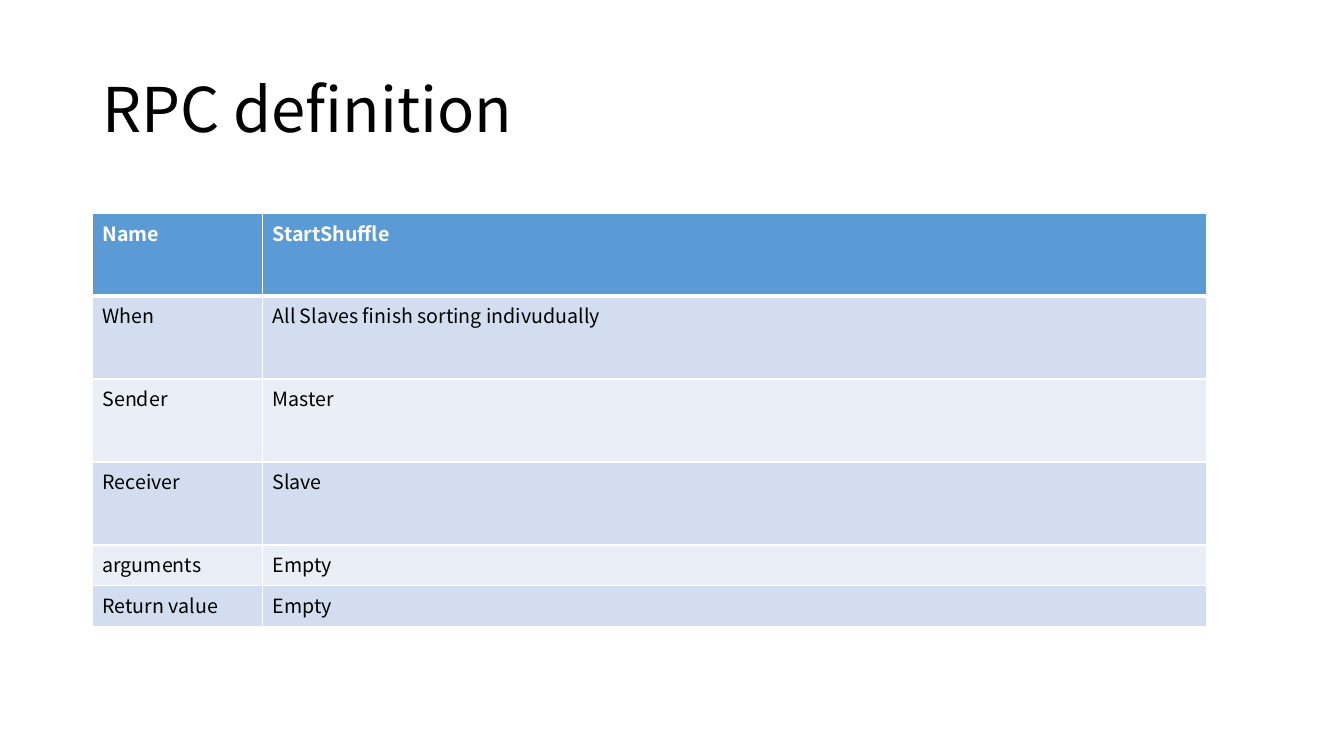
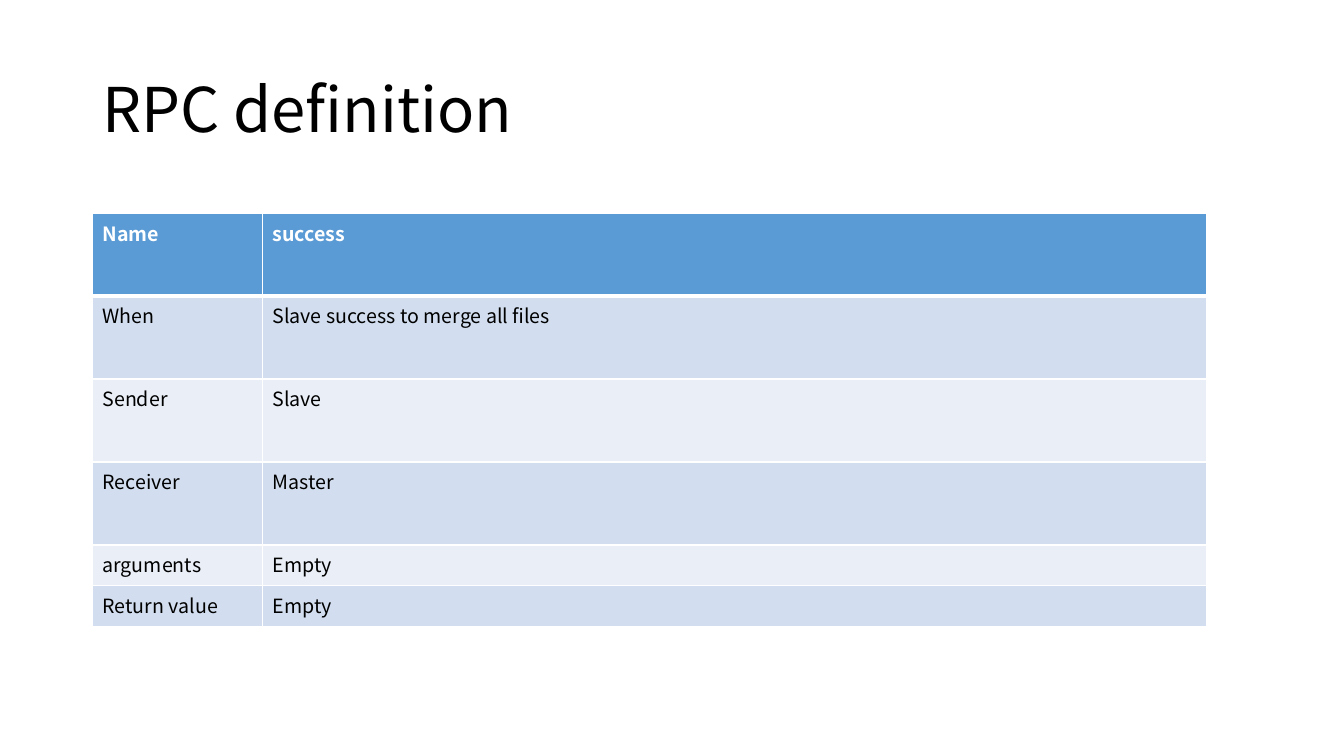
from dataclasses import dataclass
from typing import Any

from pptx import Presentation
from pptx.dml.color import RGBColor
from pptx.enum.text import MSO_ANCHOR as Anchor, MSO_AUTO_SIZE as AutoSize, PP_ALIGN as Align
from pptx.oxml import parse_xml
from pptx.oxml.ns import nsdecls
from pptx.slide import Slide
from pptx.util import Pt

# Shared scale and style
PX = 9525  # EMU in one px
PAGE = (1280, 720)
FONT = "Noto Sans CJK KR"
WHITE, BLACK = "FFFFFF", "000000"
HEADER_FILL = "5B9BD5"
BAND_FILLS = ("D2DEEF", "EAEFF7")
THIN, THICK = 1, 3  # border widths in points

TITLE_BOX = (88, 38, 1104, 139)
TABLE_LEFT, TABLE_TOP = 88, 203
COLUMNS = (162, 899)
TALL, SHORT = 79, 39
ROWS = (TALL,) * 4 + (SHORT,) * 2


@dataclass(frozen=True)
class Rpc:
    name: str
    when: str
    sender: str
    receiver: str
    arguments: str = "Empty"
    result: str = "Empty"

    def rows(self) -> list[tuple[str, str]]:
        return [
            ("Name", self.name),
            ("When", self.when),
            ("Sender", self.sender),
            ("Receiver", self.receiver),
            ("arguments", self.arguments),
            ("Return value", self.result),
        ]


RPCS = (
    Rpc("StartShuffle", "All Slaves finish sorting indivudually", "Master", "Slave"),
    Rpc("success", "Slave success to merge all files", "Slave", "Master"),
)


def px(*lengths: int) -> list[int]:
    return [length * PX for length in lengths]


def color(value: str) -> RGBColor:
    return RGBColor.from_string(value)


def apply(target: Any, values: dict[str, Any]) -> None:
    for name, value in values.items():
        setattr(target, name, value)


def write(frame: Any, text: str, size: int, ink: str, bold: bool = False) -> Any:
    para = frame.paragraphs[0]
    para.alignment = Align.LEFT
    span = para.add_run()
    span.text = text
    apply(span.font, {"name": FONT, "size": Pt(size), "bold": bold})
    span.font.color.rgb = color(ink)
    return para


def add_borders(cell: Any, top: int, bottom: int) -> None:
    properties = cell._tc.get_or_add_tcPr()
    for side, width in (("L", THIN), ("R", THIN), ("T", top), ("B", bottom)):
        properties.append(parse_xml(
            f'<a:ln{side} {nsdecls("a")} w="{Pt(width)}">'
            f'<a:solidFill><a:srgbClr val="{WHITE}"/></a:solidFill></a:ln{side}>'
        ))


def add_title(page: Slide, text: str) -> None:
    box = page.shapes.title
    apply(box, dict(zip(("left", "top", "width", "height"), px(*TITLE_BOX))))
    frame = box.text_frame
    apply(frame, {"word_wrap": True, "auto_size": AutoSize.NONE,
                  "vertical_anchor": Anchor.MIDDLE})
    write(frame, text, 44, BLACK).line_spacing = 0.9


def add_rpc_table(page: Slide, rpc: Rpc) -> None:
    frame = page.shapes.add_table(
        len(ROWS), len(COLUMNS), *px(TABLE_LEFT, TABLE_TOP, sum(COLUMNS), sum(ROWS)))
    table = frame.table
    for column, width in zip(table.columns, COLUMNS):
        column.width = width * PX
    for row, height in zip(table.rows, ROWS):
        row.height = height * PX

    for index, texts in enumerate(rpc.rows()):
        header = index == 0
        fill = HEADER_FILL if header else BAND_FILLS[(index - 1) % 2]
        for place, text in enumerate(texts):
            cell = table.cell(index, place)
            # The thick line lies between the header and the first row
            add_borders(cell, THICK if index == 1 else THIN, THICK if header else THIN)
            cell.fill.solid()
            cell.fill.fore_color.rgb = color(fill)
            write(cell.text_frame, text, 14, WHITE if header else BLACK, header)


def main() -> None:
    deck = Presentation()
    deck.slide_width, deck.slide_height = px(*PAGE)
    title_only = deck.slide_layouts[5]
    for rpc in RPCS:
        page = deck.slides.add_slide(title_only)
        add_title(page, "RPC definition")
        add_rpc_table(page, rpc)
    deck.save("out.pptx")


if __name__ == "__main__":
    main()
